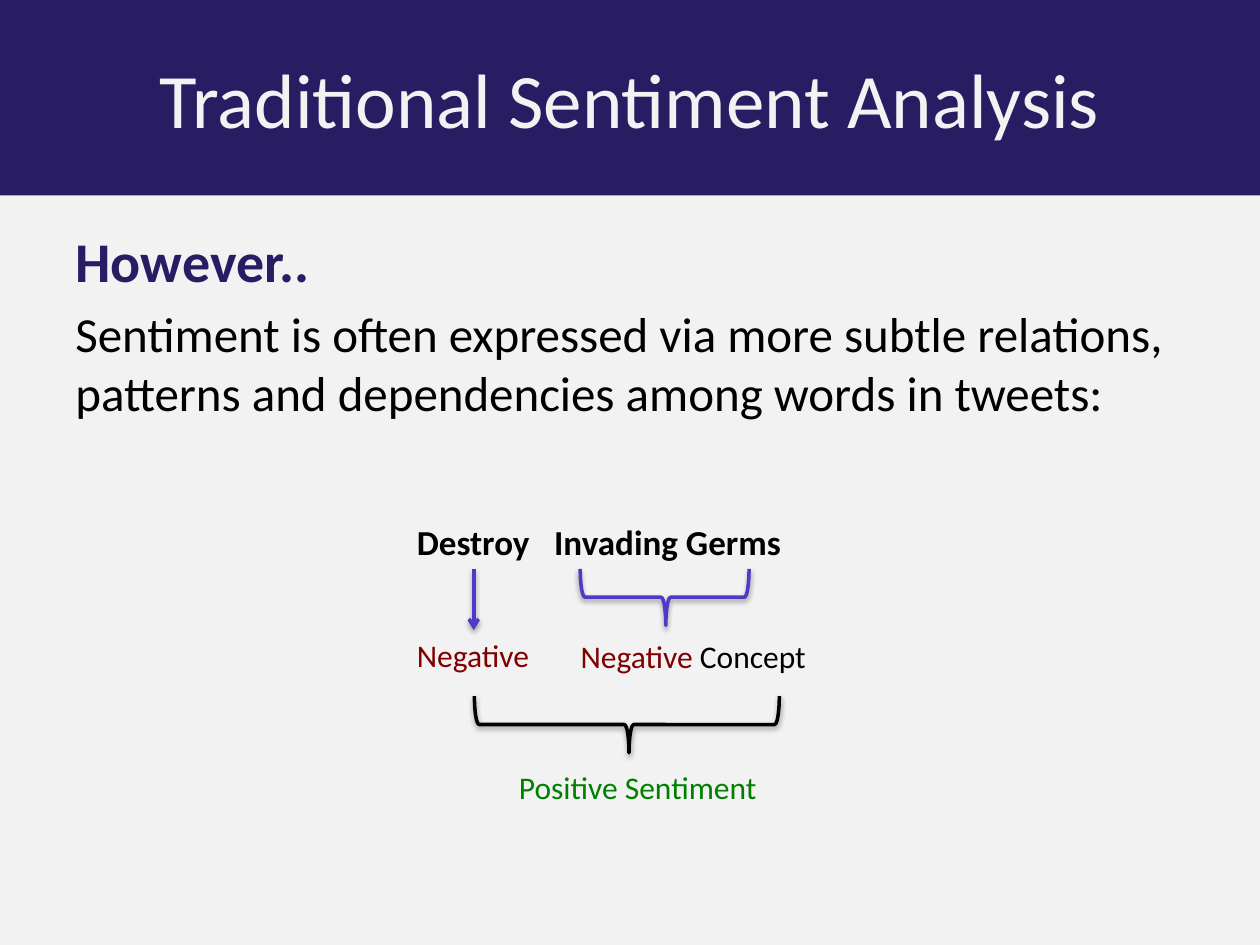
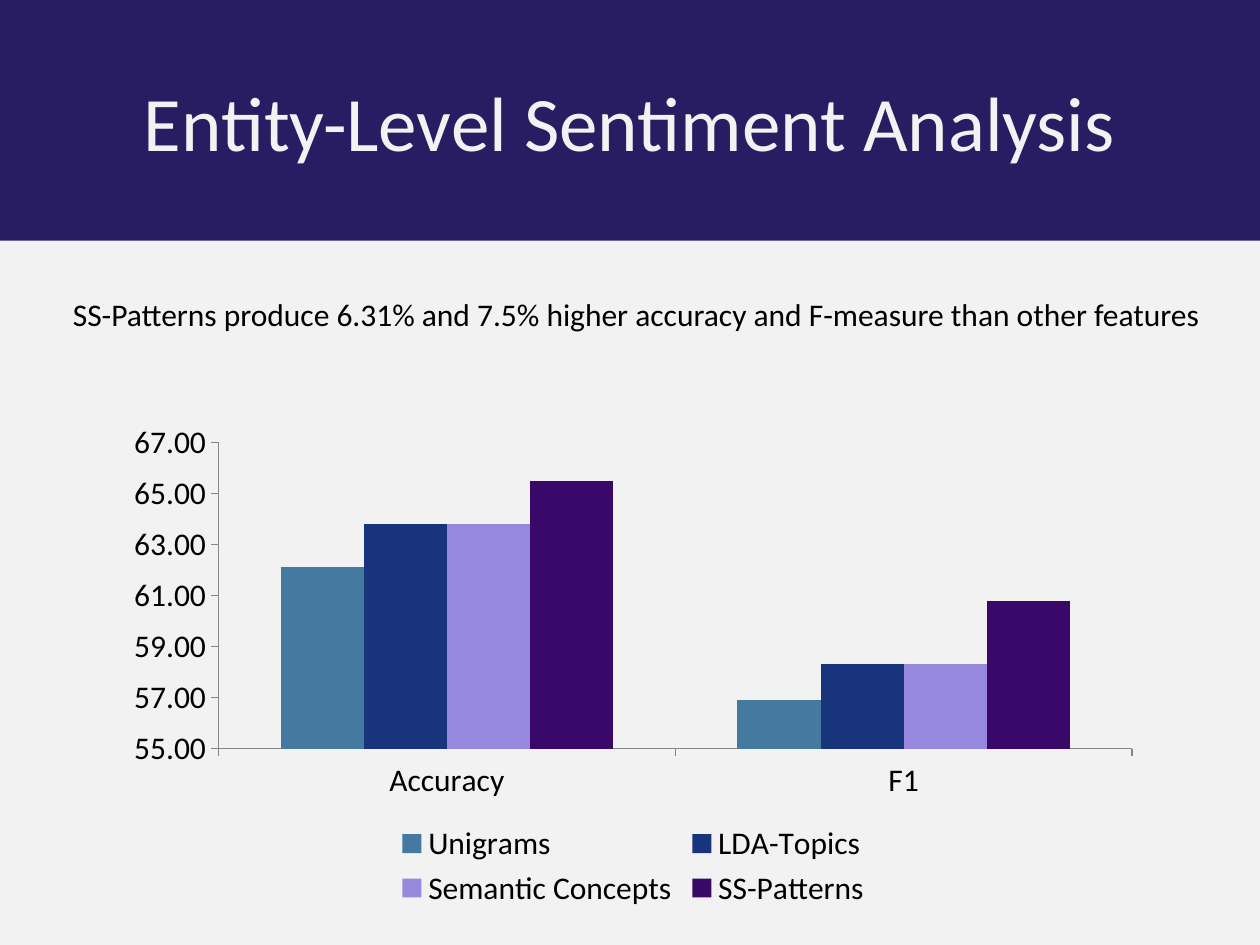
from lxml import etree
from pptx import Presentation
from pptx.chart.data import CategoryChartData
from pptx.dml.color import RGBColor
from pptx.enum import chart as charts, shapes, text
from pptx.oxml import parse_xml
from pptx.oxml.ns import nsdecls, qn
from pptx.util import Inches, Pt

FONT = "Calibri"
COLORS = {
    "background": "F2F2F2", "band": "281D63", "black": "000000",
    "accent": "5039C6", "negative": "800000", "positive": "008000",
    "axis": "868686",
}
SHADOW = (
    f'<a:effectLst {nsdecls("a")}><a:outerShdw blurRad="40000" dist="20000" '
    'dir="5400000" rotWithShape="0"><a:srgbClr val="000000"><a:alpha val="38000"/>'
    '</a:srgbClr></a:outerShdw></a:effectLst>'
)


def add_text(slide, box, paragraphs, wrap=False):
    """Each paragraph is a list of (words, size, colour, bold) runs."""
    frame = slide.shapes.add_textbox(*map(Inches, box)).text_frame
    frame.word_wrap = wrap
    for index, runs in enumerate(paragraphs):
        paragraph = frame.add_paragraph() if index else frame.paragraphs[0]
        for words, size, color, bold in runs:
            run = paragraph.add_run()
            run.text = words
            run.font.name, run.font.size, run.font.bold = FONT, Pt(size), bold
            run.font.color.rgb = RGBColor.from_string(COLORS[color])
        if index:
            paragraph.space_before = Pt(runs[0][1] * 0.2)


def style_line(shape, color):
    """Give a brace or an arrow its line and soft shadow."""
    shape.line.color.rgb = RGBColor.from_string(COLORS[color])
    shape.line.width = Pt(2)
    properties = shape._element.spPr
    for effects in properties.findall(qn("a:effectLst")):
        properties.remove(effects)
    properties.append(parse_xml(SHADOW))


presentation = Presentation()
presentation.slide_width, presentation.slide_height = Inches(10), Inches(7.5)

# Background and title band of both slides
slides = []
for title, band_height in [
    ("Traditional Sentiment Analysis", 1.55),
    ("Entity-Level Sentiment Analysis", 1.91),
]:
    slide = presentation.slides.add_slide(presentation.slide_layouts[6])
    slide.background.fill.solid()
    slide.background.fill.fore_color.rgb = RGBColor.from_string(COLORS["background"])
    band = slide.shapes.add_shape(
        shapes.MSO_SHAPE.RECTANGLE, 0, 0, Inches(10), Inches(band_height))
    band.shadow.inherit = False
    band.fill.solid()
    band.fill.fore_color.rgb = RGBColor.from_string(COLORS["band"])
    band.line.fill.background()
    band.text_frame.text = title
    band.text_frame.vertical_anchor = text.MSO_ANCHOR.MIDDLE
    paragraph = band.text_frame.paragraphs[0]
    paragraph.alignment = text.PP_ALIGN.CENTER
    font = paragraph.runs[0].font
    font.name, font.size = FONT, Pt(44)
    font.color.rgb = RGBColor.from_string(COLORS["background"])
    slides.append(slide)
relations_slide, results_slide = slides

# Slide 1: how two negative parts make a positive sentiment
add_text(relations_slide, (0.5, 1.75, 9, 1.75), [
    [("However..", 32, "band", True)],
    [("Sentiment is often expressed via more subtle relations, patterns and "
      "dependencies among words in tweets:", 28, "black", False)],
], wrap=True)
for box, runs in [
    ((3.21, 4.08, 1.1, 0.44), [("Destroy", 20, "black", True)]),
    ((4.3, 4.08, 2.04, 0.44), [("Invading Germs", 20, "black", True)]),
    ((3.21, 5, 1.11, 0.4), [("Negative", 18, "negative", False)]),
    ((4.51, 5.01, 2.02, 0.4), [("Negative", 18, "negative", False),
                               (" Concept", 18, "black", False)]),
    ((4.02, 6.05, 2.12, 0.4), [("Positive Sentiment", 18, "positive", False)]),
]:
    add_text(relations_slide, box, [runs])

for left, top, height, color in [(5.05, 4.07, 1.34, "accent"), (4.75, 4.54, 2.42, "black")]:
    brace = relations_slide.shapes.add_shape(
        shapes.MSO_SHAPE.RIGHT_BRACE, Inches(left), Inches(top), Inches(0.45), Inches(height))
    brace.rotation = 90
    brace.adjustments[0], brace.adjustments[1] = 0.083, 0.493
    brace.fill.background()
    style_line(brace, color)

arrow = relations_slide.shapes.add_connector(
    shapes.MSO_CONNECTOR.STRAIGHT, Inches(3.76), Inches(4.52), Inches(3.76), Inches(5))
style_line(arrow, "accent")
etree.SubElement(arrow.line._get_or_add_ln(), qn("a:tailEnd"), type="arrow")

# Slide 2: accuracy and F1 of each feature set
results = [
    ("Unigrams", (62.1, 56.9), "4479A0"),
    ("LDA-Topics", (63.8, 58.3), "18347C"),
    ("Semantic Concepts", (63.8, 58.3), "9688DD"),
    ("SS-Patterns", (65.5, 60.8), "3A0868"),
]
chart_data = CategoryChartData(number_format="0.00")
chart_data.categories = ["Accuracy", "F1"]
for name, values, _ in results:
    chart_data.add_series(name, values)
chart = results_slide.shapes.add_chart(
    charts.XL_CHART_TYPE.COLUMN_CLUSTERED, Inches(0.9), Inches(3.28),
    Inches(8.25), Inches(3.97), chart_data).chart
chart.has_title = False
chart.font.name, chart.font.size = FONT, Pt(18)
chart.font.color.rgb = RGBColor.from_string(COLORS["black"])
chart.has_legend = True
chart.legend.position = charts.XL_LEGEND_POSITION.BOTTOM
chart.legend.include_in_layout = False

plot = chart.plots[0]
plot.gap_width, plot.overlap, plot.vary_by_categories = 150, 0, False
for series, (_, _, color) in zip(plot.series, results):
    series.format.fill.solid()
    series.format.fill.fore_color.rgb = RGBColor.from_string(color)

for axis in (chart.category_axis, chart.value_axis):
    axis.has_major_gridlines = False
    axis.major_tick_mark = charts.XL_TICK_MARK.OUTSIDE
    axis.format.line.color.rgb = RGBColor.from_string(COLORS["axis"])
    axis.format.line.width = Pt(0.75)
value_axis = chart.value_axis
value_axis.minimum_scale, value_axis.maximum_scale, value_axis.major_unit = 55, 67, 2
value_axis.tick_labels.number_format = "0.00"
value_axis.tick_labels.number_format_is_linked = False

add_text(results_slide, (0.48, 2.29, 9.28, 0.71), [
    [("SS-Patterns produce 6.31% and 7.5% higher accuracy and F-measure than "
      "other features", 18, "black", False)],
])

presentation.save("out.pptx")
